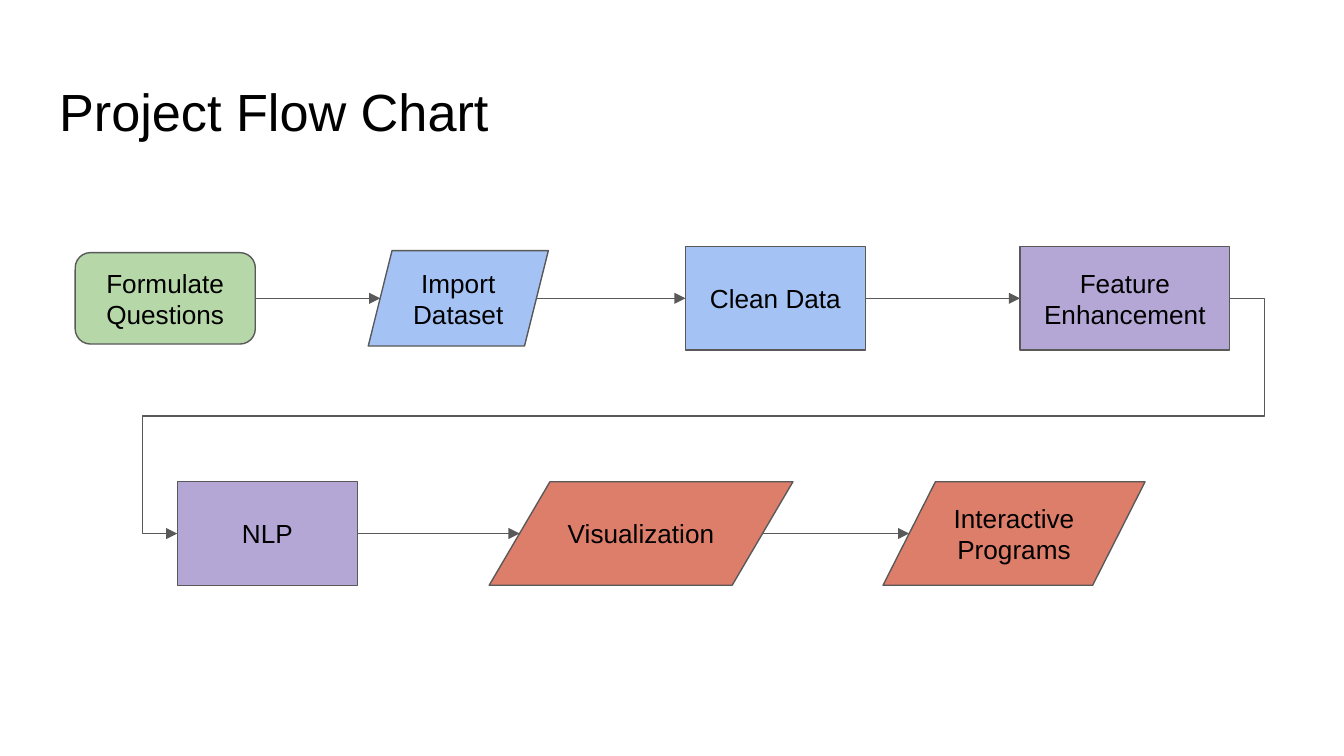
from itertools import pairwise

from lxml import etree
from pptx import Presentation
from pptx import util as u
from pptx.dml.color import RGBColor
from pptx.enum import shapes, text
from pptx.oxml.ns import qn

COLOURS = {
    "text": "000000",
    "outline": "595959",
    "question": "B6D7A8",
    "data": "A4C2F4",
    "model": "B4A7D6",
    "output": "DD7E6B",
}
KIND = shapes.MSO_SHAPE
RECTANGULAR = (KIND.RECTANGLE, KIND.FLOWCHART_ALTERNATE_PROCESS)
LEFT, RIGHT = 1, 3

PREPARATION_STEPS = [
    ("Formulate Questions", KIND.FLOWCHART_ALTERNATE_PROCESS, "question", 0.56, 1.34, 0.68),
    ("Import\nDataset", KIND.PARALLELOGRAM, "data", 2.74, 1.34, 0.71),
    ("Clean Data", KIND.RECTANGLE, "data", 5.1, 1.34, 0.77),
    ("Feature Enhancement", KIND.RECTANGLE, "model", 7.59, 1.56, 0.77),
]
RESULT_STEPS = [
    ("NLP", KIND.RECTANGLE, "model", 1.32, 1.34, 0.77),
    ("Visualization", KIND.FLOWCHART_DATA, "output", 3.64, 2.26, 0.77),
    ("Interactive\nPrograms", KIND.FLOWCHART_DATA, "output", 6.57, 1.95, 0.77),
]


def colour(name):
    return RGBColor.from_string(COLOURS[name])


def format_text(frame, size, alignment, anchor):
    frame.word_wrap = True
    frame.auto_size = text.MSO_AUTO_SIZE.NONE
    frame.vertical_anchor = anchor
    frame.margin_left = frame.margin_right = u.Inches(0.1)
    frame.margin_top = frame.margin_bottom = u.Inches(0.1)
    for paragraph in frame.paragraphs:
        paragraph.alignment = alignment
        paragraph.font.size = u.Pt(size)
        paragraph.font.name = "Arial"
        paragraph.font.color.rgb = colour("text")


def format_outline(line):
    line.color.rgb = colour("outline")
    line.width = u.Pt(0.75)


def add_title(slide, left, top, width, height):
    title = slide.shapes.title
    title.left, title.top = u.Inches(left), u.Inches(top)
    title.width, title.height = u.Inches(width), u.Inches(height)
    title.text_frame.text = "Project Flow Chart"
    format_text(title.text_frame, 28, text.PP_ALIGN.LEFT, text.MSO_ANCHOR.TOP)


def add_step(slide, middle, label, kind, fill, left, width, height):
    shape = slide.shapes.add_shape(
        kind, u.Inches(left), u.Inches(middle - height / 2), u.Inches(width), u.Inches(height)
    )
    shape.shadow.inherit = False
    shape.fill.solid()
    shape.fill.fore_color.rgb = colour(fill)
    format_outline(shape.line)
    shape.text_frame.text = label
    format_text(shape.text_frame, 14, text.PP_ALIGN.CENTER, text.MSO_ANCHOR.MIDDLE)
    return shape


def side_inset(shape):
    if shape.auto_shape_type == KIND.PARALLELOGRAM:
        return int(shape.adjustments[0] * min(shape.width, shape.height) / 2)
    if shape.auto_shape_type == KIND.FLOWCHART_DATA:
        return shape.width // 10
    return 0


def add_arrow(slide, kind, source, target):
    connector = slide.shapes.add_connector(
        kind,
        source.left + source.width - side_inset(source),
        source.top + source.height // 2,
        target.left + side_inset(target),
        target.top + target.height // 2,
    )
    format_outline(connector.line)
    line = connector.line._get_or_add_ln()
    etree.SubElement(line, qn("a:tailEnd"), type="triangle")
    etree.SubElement(connector._element.spPr, qn("a:effectLst"))
    return connector


def add_row(slide, middle, steps):
    row = [add_step(slide, middle, *step) for step in steps]
    for source, target in pairwise(row):
        connector = add_arrow(slide, shapes.MSO_CONNECTOR.STRAIGHT, source, target)
        if source.auto_shape_type in RECTANGULAR:
            connector.begin_connect(source, RIGHT)
        if target.auto_shape_type in RECTANGULAR:
            connector.end_connect(target, LEFT)
    return row


def add_row_return(slide, source, target, overhang):
    connector = add_arrow(slide, shapes.MSO_CONNECTOR.ELBOW, source, target)
    share = round(100000 * u.Inches(overhang) / connector.width)
    geometry = connector._element.spPr.find(qn("a:prstGeom"))
    geometry.set("prst", "bentConnector5")
    guides = geometry.find(qn("a:avLst"))
    for number, value in enumerate((-share, 50000, 100000 + share), 1):
        etree.SubElement(guides, qn("a:gd"), name=f"adj{number}", fmla=f"val {value}")


def main():
    presentation = Presentation()
    presentation.slide_width = u.Inches(10)
    presentation.slide_height = u.Inches(10 * 9 / 16)
    slide = presentation.slides.add_slide(presentation.slide_layouts[5])
    add_title(slide, 0.34, 0.49, 9.32, 0.63)
    preparation = add_row(slide, 2.22, PREPARATION_STEPS)
    results = add_row(slide, 3.97, RESULT_STEPS)
    add_row_return(slide, preparation[-1], results[0], 0.26)
    presentation.save("out.pptx")


if __name__ == "__main__":
    main()
